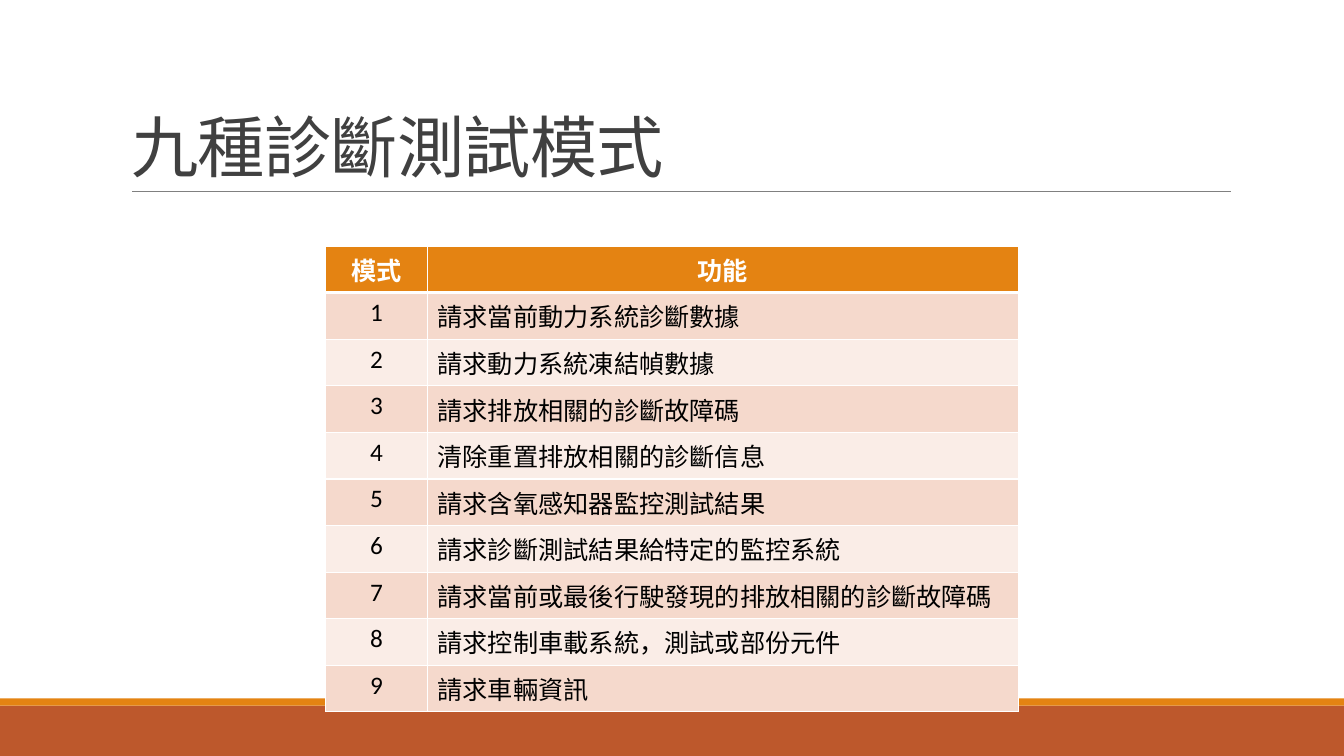
from dataclasses import dataclass

from lxml import etree
from pptx import Presentation
from pptx.dml.color import RGBColor
from pptx.enum.shapes import MSO_CONNECTOR, MSO_SHAPE
from pptx.enum.text import MSO_ANCHOR, MSO_AUTO_SIZE, PP_ALIGN
from pptx.oxml.ns import qn
from pptx.util import Inches, Pt

FONT = "Calibri"
WHITE, BLACK = "FFFFFF", "000000"
ORANGE, RUST = "E48312", "BD582C"
ROW_FILLS = ("F5D9CC", "FAEDE7")

HEADINGS = ("模式", "功能")
FUNCTIONS = (
    "請求當前動力系統診斷數據",
    "請求動力系統凍結幀數據",
    "請求排放相關的診斷故障碼",
    "清除重置排放相關的診斷信息",
    "請求含氧感知器監控測試結果",
    "請求診斷測試結果給特定的監控系統",
    "請求當前或最後行駛發現的排放相關的診斷故障碼",
    "請求控制車載系統，測試或部份元件",
    "請求車輛資訊",
)
COLUMN_WIDTHS = (1.01, 5.86)
ROW_HEIGHT = 0.41


@dataclass(frozen=True)
class Band:
    top: float
    height: float
    color: str


FOOTER_BANDS = (Band(7, 0.5, RUST), Band(6.93, 0.07, ORANGE))


def rgb(color: str) -> RGBColor:
    return RGBColor.from_string(color)


def write(frame, text: str, *, size: float = 18, color: str = BLACK,
          bold: bool = False, align=PP_ALIGN.LEFT, line_spacing: float = 1.0,
          tracking: float = 0) -> None:
    paragraph = frame.paragraphs[0]
    paragraph.alignment = align
    paragraph.line_spacing = line_spacing
    run = paragraph.add_run()
    run.text = text
    run.font.name = FONT
    run.font.size = Pt(size)
    run.font.bold = bold
    run.font.color.rgb = rgb(color)
    if tracking:
        run._r.get_or_add_rPr().set("spc", str(round(tracking * 100)))


def draw_band(slide, band: Band) -> None:
    stripe = slide.shapes.add_shape(
        MSO_SHAPE.RECTANGLE, 0, Inches(band.top), Inches(13.33), Inches(band.height))
    stripe.shadow.inherit = False
    stripe.fill.solid()
    stripe.fill.fore_color.rgb = rgb(band.color)
    stripe.line.fill.background()


def draw_title_rule(slide) -> None:
    rule = slide.shapes.add_connector(
        MSO_CONNECTOR.STRAIGHT, Inches(1.31), Inches(1.9), Inches(12.21), Inches(1.9))
    rule.line.color.rgb = rgb("808080")
    rule.line.width = Pt(0.5)
    etree.SubElement(rule._element.spPr, qn("a:effectLst"))


def set_borders(cell, top: float, bottom: float) -> None:
    properties = cell._tc.get_or_add_tcPr()
    for side, width in (("L", 1), ("R", 1), ("T", top), ("B", bottom)):
        border = etree.SubElement(properties, qn(f"a:ln{side}"), w=str(Pt(width)))
        fill = etree.SubElement(border, qn("a:solidFill"))
        etree.SubElement(fill, qn("a:srgbClr"), val=WHITE)


def draw_modes_table(slide) -> None:
    rows = [HEADINGS] + [(str(mode), use) for mode, use in enumerate(FUNCTIONS, 1)]
    modes = slide.shapes.add_table(
        len(rows), len(HEADINGS), Inches(3.23), Inches(2.44),
        Inches(sum(COLUMN_WIDTHS)), Inches(ROW_HEIGHT * len(rows))).table
    for column, width in zip(modes.columns, COLUMN_WIDTHS):
        column.width = Inches(width)
    for r, texts in enumerate(rows):
        modes.rows[r].height = Inches(ROW_HEIGHT)
        is_header = r == 0
        for c, text in enumerate(texts):
            cell = modes.cell(r, c)
            # The header is set off by a thick line
            set_borders(cell, top=3 if r == 1 else 1, bottom=3 if is_header else 1)
            cell.fill.solid()
            cell.fill.fore_color.rgb = rgb(ORANGE if is_header else ROW_FILLS[(r - 1) % 2])
            write(cell.text_frame, text, bold=is_header,
                  color=WHITE if is_header else BLACK,
                  align=PP_ALIGN.CENTER if is_header or c == 0 else PP_ALIGN.LEFT)


def main() -> None:
    deck = Presentation()
    deck.slide_width, deck.slide_height = Inches(13.33), Inches(7.5)
    slide = deck.slides.add_slide(deck.slide_layouts[5])

    # Footer bands and the rule under the title
    for band in FOOTER_BANDS:
        draw_band(slide, band)
    draw_title_rule(slide)

    # Title
    title = slide.shapes.title
    title.left, title.top = Inches(1.2), Inches(0.31)
    title.width, title.height = Inches(11), Inches(1.59)
    title.text_frame.auto_size = MSO_AUTO_SIZE.NONE
    title.text_frame.vertical_anchor = MSO_ANCHOR.BOTTOM
    write(title.text_frame, "九種診斷測試模式", size=48, color="404040",
          line_spacing=0.85, tracking=-0.5)

    # Table of test modes
    draw_modes_table(slide)

    deck.save("out.pptx")


if __name__ == "__main__":
    main()
